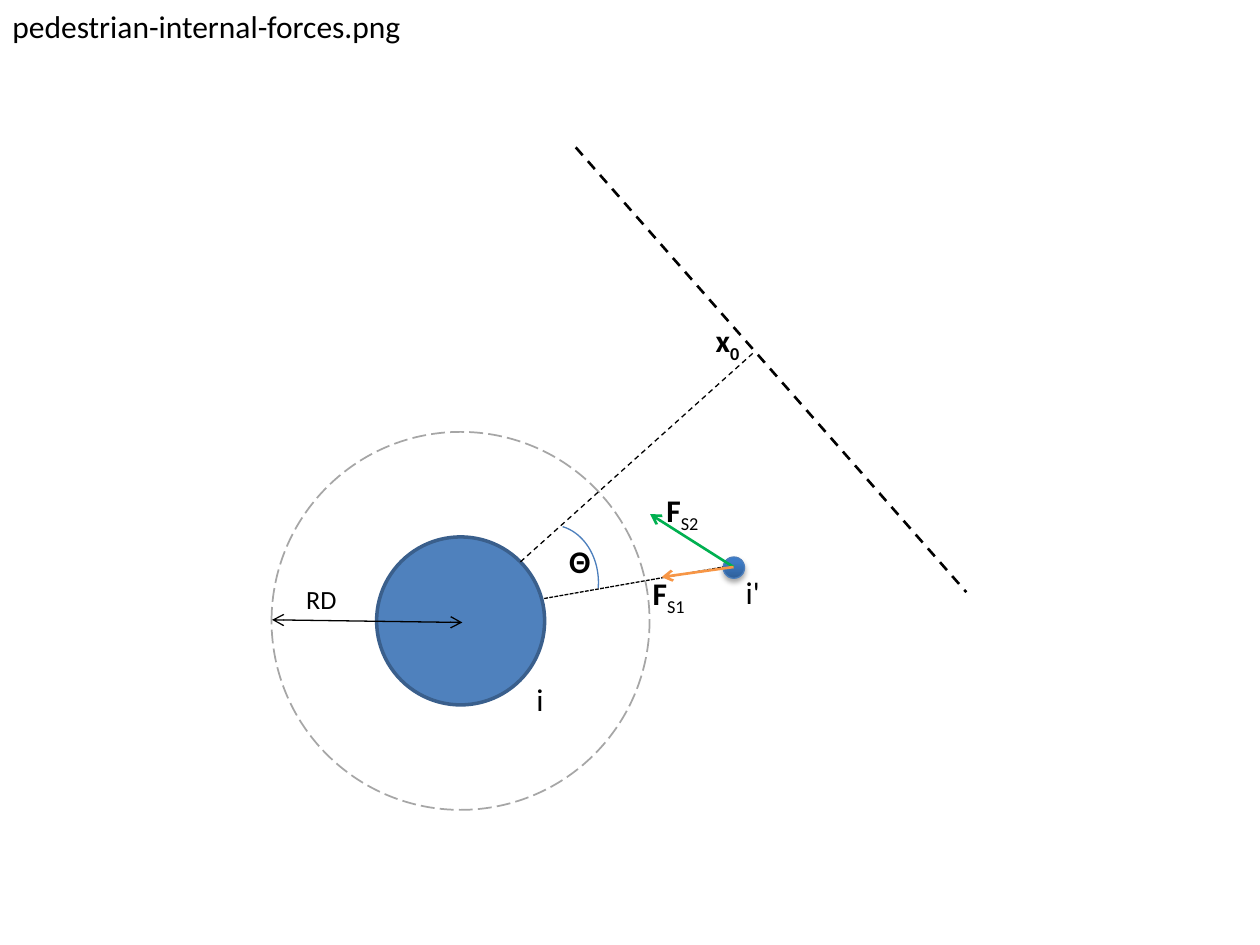
from dataclasses import dataclass
from typing import Optional

from lxml import etree
from pptx import Presentation
from pptx.dml.color import RGBColor
from pptx.enum.dml import MSO_LINE_DASH_STYLE as Dash
from pptx.enum.shapes import MSO_CONNECTOR, MSO_SHAPE
from pptx.enum.text import MSO_AUTO_SIZE as AutoSize
from pptx.oxml import parse_xml
from pptx.oxml.ns import nsdecls, qn
from pptx.util import Pt

COLORS = {
    "black": "000000", "body": "4F81BD", "body_edge": "3A5F8C",
    "thin_blue": "4B7EBC", "ring": "A6A6A6", "green": "00B050", "orange": "F79646",
    "dot_dark": "2F5F99", "dot_mid": "3D7CC7", "dot_light": "3A7CCB",
}
FONT = "Calibri"
Point = tuple[float, float]

# Points that several parts share
BODY_CENTER: Point = (263.2, 354.8)
NEIGHBOUR: Point = (419.2, 324)


@dataclass
class Circle:
    center: Point
    radius: float
    edge: str
    edge_width: float
    fill: Optional[str] = None
    dash: Optional[Dash] = None


@dataclass
class Line:
    start: Point
    end: Point
    width: float = 0.75
    color: str = "black"
    dash: Optional[Dash] = None
    arrows: tuple[str, ...] = ()


@dataclass
class Label:
    left: float
    top: float
    width: float
    text: str
    subscript: str = ""
    size: float = 18
    height: float = 29
    bold: bool = False
    bold_subscript: bool = False
    wrap: bool = False


DOT = Circle((419.4, 324.4), 6.1, "thin_blue", 0.75)
CIRCLES = [
    Circle(BODY_CENTER, 48, "body_edge", 2, fill="body"),
    Circle(BODY_CENTER, 108, "ring", 1, dash=Dash.LONG_DASH),
]
LINES = [
    Line((311, 342), (413.3, 324), dash=Dash.SQUARE_DOT),
    Line((329, 84.2), (552.2, 338.4), 1.5, dash=Dash.DASH),
    Line((297.4, 321.1), (431.3, 200.9), dash=Dash.DASH),
    Line(NEIGHBOUR, (371.5, 293.8), 1.5, "green", arrows=("tailEnd",)),
    Line(NEIGHBOUR, (378, 329.8), 1.5, "orange", arrows=("tailEnd",)),
    Line((264.2, 355.7), (155.5, 354.2), arrows=("headEnd", "tailEnd")),
]
LABELS = [
    Label(0, 0.7, 240, "pedestrian-internal-forces.png", wrap=True),
    Label(299.5, 385.2, 18.7, "i"),
    Label(419, 324, 23, "i'"),
    Label(401.8, 180, 28.8, "x", "0", bold=True, bold_subscript=True),
    Label(373.7, 277.2, 34.6, "F", "S2", bold=True),
    Label(365.8, 324.7, 34.6, "F", "S1", bold=True),
    Label(167.8, 329.8, 32.4, "RD", size=15, height=25.2),
    Label(318.2, 306, 26.6, "Θ", bold=True),
]


def rgb(name: str) -> RGBColor:
    return RGBColor.from_string(COLORS[name])


def style_line(line, color: str, width: float, dash: Optional[Dash] = None) -> None:
    line.color.rgb = rgb(color)
    line.width = Pt(width)
    if dash is not None:
        line.dash_style = dash


def draw_circle(slide, circle: Circle):
    x, y = circle.center
    size = Pt(2 * circle.radius)
    shape = slide.shapes.add_shape(
        MSO_SHAPE.OVAL, Pt(x - circle.radius), Pt(y - circle.radius), size, size)
    shape.shadow.inherit = False
    if circle.fill:
        shape.fill.solid()
        shape.fill.fore_color.rgb = rgb(circle.fill)
    else:
        shape.fill.background()
    style_line(shape.line, circle.edge, circle.edge_width, circle.dash)
    return shape


def draw_dot(slide, circle: Circle) -> None:
    """Small sphere with a three-stop gradient and a soft shadow."""
    properties = draw_circle(slide, circle).element.spPr
    stops = "".join(
        f'<a:gs pos="{position}"><a:srgbClr val="{COLORS[name]}"/></a:gs>'
        for position, name in ((0, "dot_dark"), (80000, "dot_mid"), (100000, "dot_light")))
    gradient = parse_xml(
        f'<a:gradFill {nsdecls("a")} rotWithShape="1"><a:gsLst>{stops}</a:gsLst>'
        '<a:lin ang="16200000" scaled="0"/></a:gradFill>')
    properties.replace(properties.find(qn("a:noFill")), gradient)
    properties.find(qn("a:effectLst")).append(parse_xml(
        f'<a:outerShdw {nsdecls("a")} blurRad="{Pt(3.1)}" dist="{Pt(1.8)}" dir="5400000"'
        f' rotWithShape="0"><a:srgbClr val="{COLORS["black"]}">'
        '<a:alpha val="35000"/></a:srgbClr></a:outerShdw>'))


def draw_line(slide, line: Line) -> None:
    connector = slide.shapes.add_connector(
        MSO_CONNECTOR.STRAIGHT, *(Pt(value) for value in line.start + line.end))
    style_line(connector.line, line.color, line.width, line.dash)
    properties = connector.element.spPr
    for arrow in line.arrows:
        etree.SubElement(properties.find(qn("a:ln")), qn(f"a:{arrow}"), type="arrow")
    etree.SubElement(properties, qn("a:effectLst"))


def draw_angle_arc(slide) -> None:
    arc = slide.shapes.add_shape(MSO_SHAPE.ARC, Pt(288), Pt(300), Pt(54), Pt(66))
    arc.adjustments[0] = 168.92
    arc.adjustments[1] = 4.01
    arc.shadow.inherit = False
    arc.fill.background()
    style_line(arc.line, "thin_blue", 0.75)


def draw_label(slide, label: Label) -> None:
    box = slide.shapes.add_textbox(
        Pt(label.left), Pt(label.top), Pt(label.width), Pt(label.height))
    frame = box.text_frame
    frame.text = label.text
    frame.word_wrap = label.wrap
    frame.auto_size = AutoSize.SHAPE_TO_FIT_TEXT
    paragraph = frame.paragraphs[0]
    paragraph.runs[0].font.bold = label.bold
    if label.subscript:
        run = paragraph.add_run()
        run.text = label.subscript
        run.font.bold = label.bold_subscript
        run.font._element.set("baseline", "-25000")
    for run in paragraph.runs:
        run.font.name = FONT
        run.font.size = Pt(label.size)
        run.font.color.rgb = rgb("black")


presentation = Presentation()
presentation.slide_width, presentation.slide_height = Pt(720), Pt(540)
slide = presentation.slides.add_slide(presentation.slide_layouts[6])

# Pedestrians and the outer radius
draw_dot(slide, DOT)
for circle in CIRCLES:
    draw_circle(slide, circle)

# Wall, distances, forces and angle
for line in LINES:
    draw_line(slide, line)
draw_angle_arc(slide)

# Labels
for label in LABELS:
    draw_label(slide, label)

presentation.save("out.pptx")
